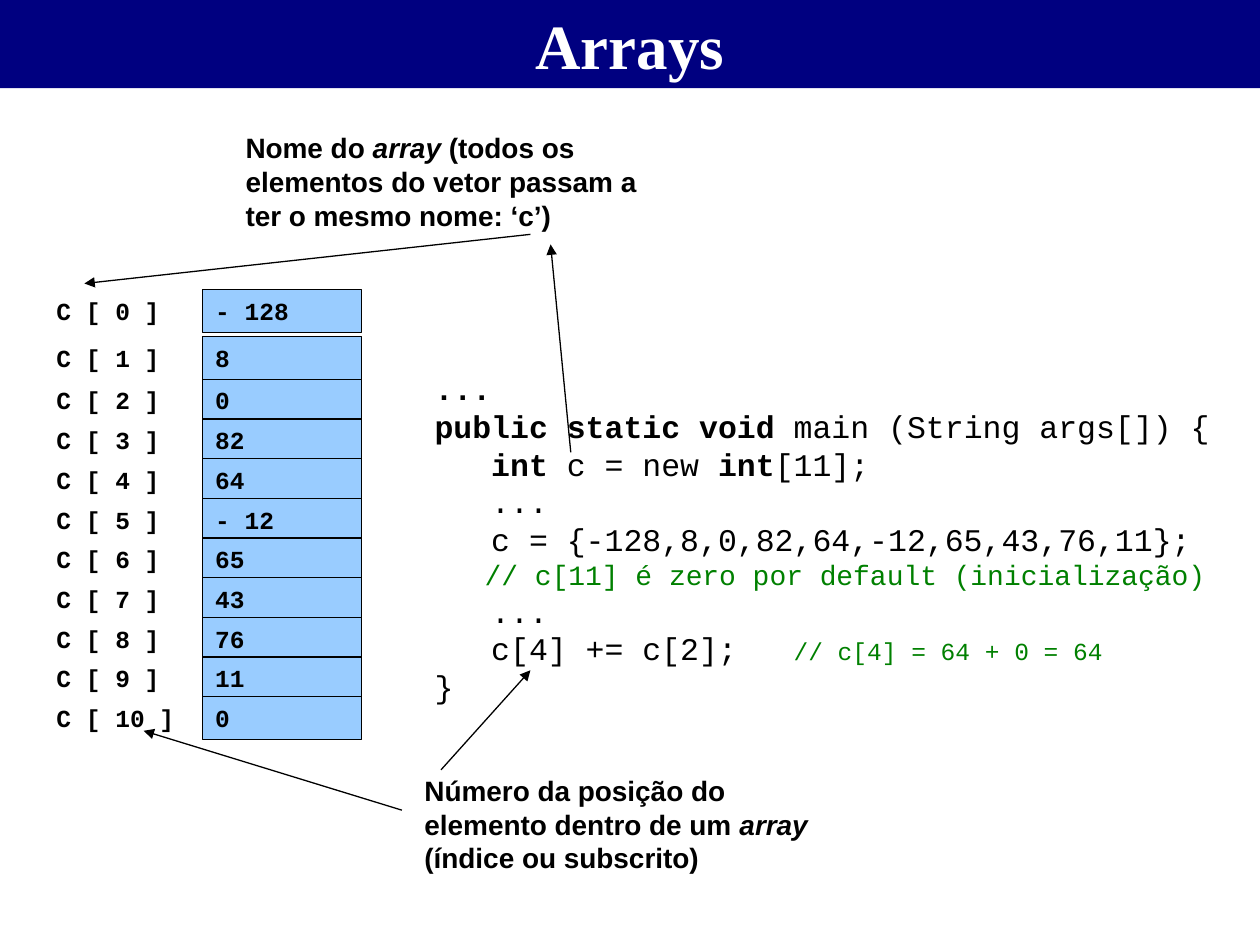
from dataclasses import dataclass
from typing import NamedTuple

from lxml import etree
from pptx import Presentation
from pptx.dml.color import RGBColor
from pptx.enum.shapes import MSO_CONNECTOR, MSO_SHAPE
from pptx.enum.text import MSO_ANCHOR, PP_ALIGN
from pptx.oxml.ns import qn
from pptx.util import Inches, Pt

RECT = MSO_SHAPE.RECTANGLE
STRAIGHT = MSO_CONNECTOR.STRAIGHT
TOP = MSO_ANCHOR.TOP
LEFT, CENTER = PP_ALIGN.LEFT, PP_ALIGN.CENTER

COLORS = {
    "navy": "000080",
    "cell": "99CCFF",
    "ink": "000000",
    "paper": "FFFFFF",
    "comment": "008000",
}
SANS, SERIF, MONO = "Arial", "Times New Roman", "Courier New"
COLS, ROWS = 100, 75
CELL = Inches(0.1)


class Run(NamedTuple):
    text: str
    bold: bool = False
    italic: bool = False
    size: float | None = None
    color: str | None = None


@dataclass
class Box:
    col: float
    row: float
    cols: float
    rows: float

    def emu(self) -> list[int]:
        return [grid(n) for n in (self.col, self.row, self.cols, self.rows)]


@dataclass
class Arrow:
    start: tuple[float, float]
    tip: tuple[float, float]


VALUES = ["- 128", "8", "0", "82", "64", "- 12", "65", "43", "76", "11", "0"]
FIRST_ROWS = [23, 26.7]
REST_ROW, PITCH = 30.1, 3.15

NOTES = [
    (Box(18.5, 9.9, 33.1, 9), [
        Run("Nome do ", True),
        Run("array", True, True),
        Run(" (todos os elementos do vetor passam a ter o mesmo nome: ‘c’)", True),
    ]),
    (Box(32.7, 60.9, 33.1, 9), [
        Run("Número da posição do elemento dentro de um ", True),
        Run("array", True, True),
        Run(" (índice ou subscrito)", True),
    ]),
]

CODE = [
    [Run("...", True)],
    [Run("public static void", True), Run(" main (String args[]) {")],
    [Run("   int", True), Run(" c = new "), Run("int", True), Run("[11];")],
    [Run("   ...")],
    [Run("   c = {-128,8,0,82,64,-12,65,43,76,11};")],
    [Run("   // c[11] é zero por default (inicialização)", size=16, color="comment")],
    [Run("   ...")],
    [Run("   c[4] += c[2];\t"), Run("// c[4] = 64 + 0 = 64", size=14, color="comment")],
    [Run("}")],
]
COMMENT_COL = 28.5

ARROWS = [
    Arrow((45.3, 35.9), (43.7, 19.4)),
    Arrow((42.1, 18.6), (6.7, 22.5)),
    Arrow((35, 61.1), (42.1, 53.2)),
    Arrow((31.9, 64.3), (11.4, 58)),
]


def grid(n: float) -> int:
    return round(n * CELL)


def rgb(name: str) -> RGBColor:
    return RGBColor.from_string(COLORS[name])


def write(sp, paragraphs: list[list[Run]], *, size: float, font: str,
          color: str = "ink", align=LEFT, tab: float | None = None) -> None:
    tf = sp.text_frame
    tf.word_wrap = True
    tf.vertical_anchor = TOP
    for i, runs in enumerate(paragraphs):
        p = tf.paragraphs[0] if i == 0 else tf.add_paragraph()
        p.alignment = align
        if tab is not None and any("\t" in run.text for run in runs):
            tabs = etree.SubElement(p._p.get_or_add_pPr(), qn("a:tabLst"))
            etree.SubElement(tabs, qn("a:tab"), pos=str(grid(tab)), algn="l")
        for run in runs:
            r = p.add_run()
            r.text = run.text
            r.font.name = font
            r.font.size = Pt(run.size or size)
            r.font.bold = run.bold
            r.font.italic = run.italic
            r.font.color.rgb = rgb(run.color or color)


def add_text(shapes, box: Box, paragraphs: list[list[Run]], **fmt) -> None:
    write(shapes.add_textbox(*box.emu()), paragraphs, **fmt)


def add_rect(shapes, box: Box, text: str, fill: str, line: str | None = None, **fmt) -> None:
    sp = shapes.add_shape(RECT, *box.emu())
    sp.shadow.inherit = False
    sp.fill.solid()
    sp.fill.fore_color.rgb = rgb(fill)
    if line:
        sp.line.color.rgb = rgb(line)
        sp.line.width = Pt(0.75)
    else:
        sp.line.fill.background()
    write(sp, [[Run(text, True)]], **fmt)


def add_element(shapes, index: int, value: str) -> None:
    head = len(FIRST_ROWS)
    row = FIRST_ROWS[index] if index < head else REST_ROW + (index - head) * PITCH
    group = shapes.add_group_shape().shapes
    add_text(group, Box(3.5, row, 13.4, 3.4), [[Run(f"C [ {index} ]", True)]],
             size=14, font=MONO)
    add_rect(group, Box(16.1, row, 12.6, 3.4), value, "cell", "ink", size=14, font=MONO)


def add_arrow(shapes, arrow: Arrow) -> None:
    ends = [grid(n) for n in (*arrow.start, *arrow.tip)]
    line = shapes.add_connector(STRAIGHT, *ends)
    line.line.color.rgb = rgb("ink")
    line.line.width = Pt(0.75)
    etree.SubElement(line.line._get_or_add_ln(), qn("a:tailEnd"), type="triangle")
    etree.SubElement(line._element.spPr, qn("a:effectLst"))


def main() -> None:
    prs = Presentation()
    prs.slide_width, prs.slide_height = grid(COLS), grid(ROWS)
    shapes = prs.slides.add_slide(prs.slide_layouts[6]).shapes
    add_rect(shapes, Box(0, 0, COLS, 7), "Arrays", "navy",
             size=36, font=SERIF, color="paper", align=CENTER)
    for index, value in enumerate(VALUES):
        add_element(shapes, index, value)
    for box, runs in NOTES:
        add_text(shapes, box, [runs], size=16, font=SANS)
    add_text(shapes, Box(33.5, 28.8, 66.5, 30.7), CODE,
             size=18, font=MONO, tab=COMMENT_COL)
    for arrow in ARROWS:
        add_arrow(shapes, arrow)
    prs.save("out.pptx")


if __name__ == "__main__":
    main()
